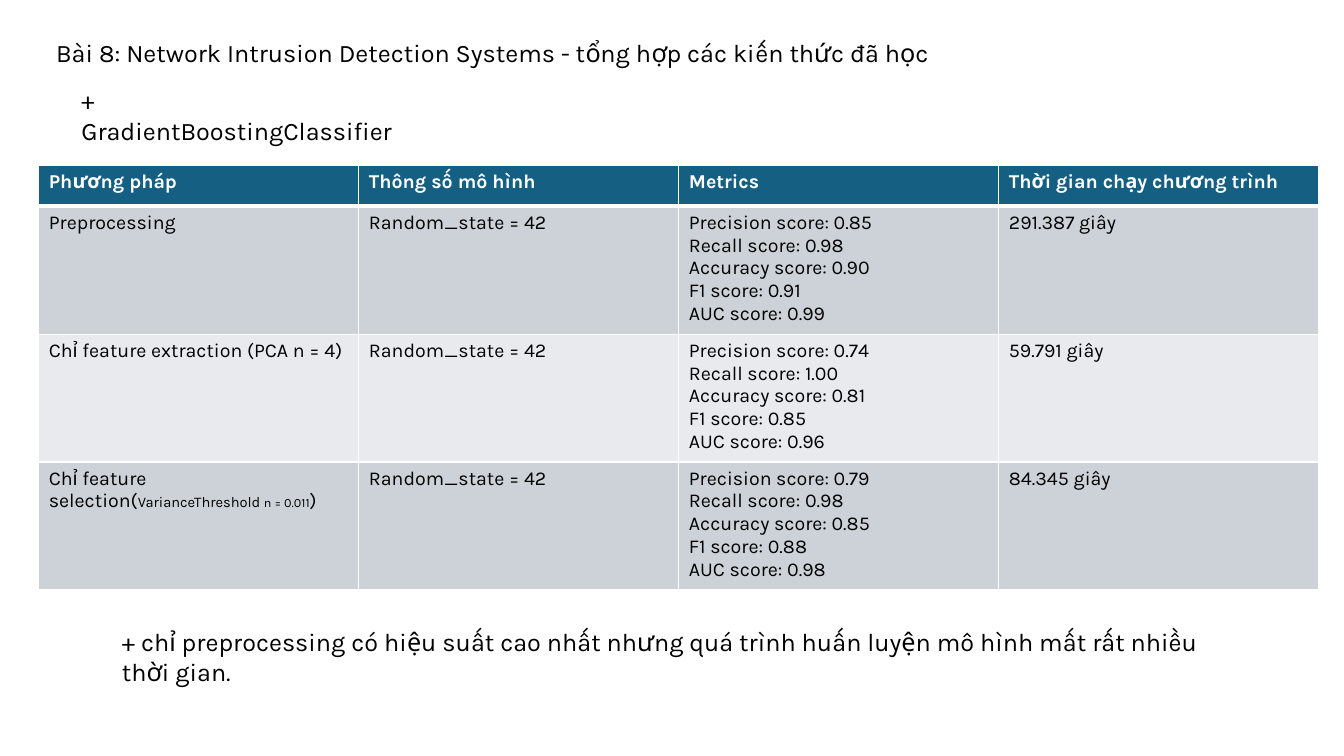
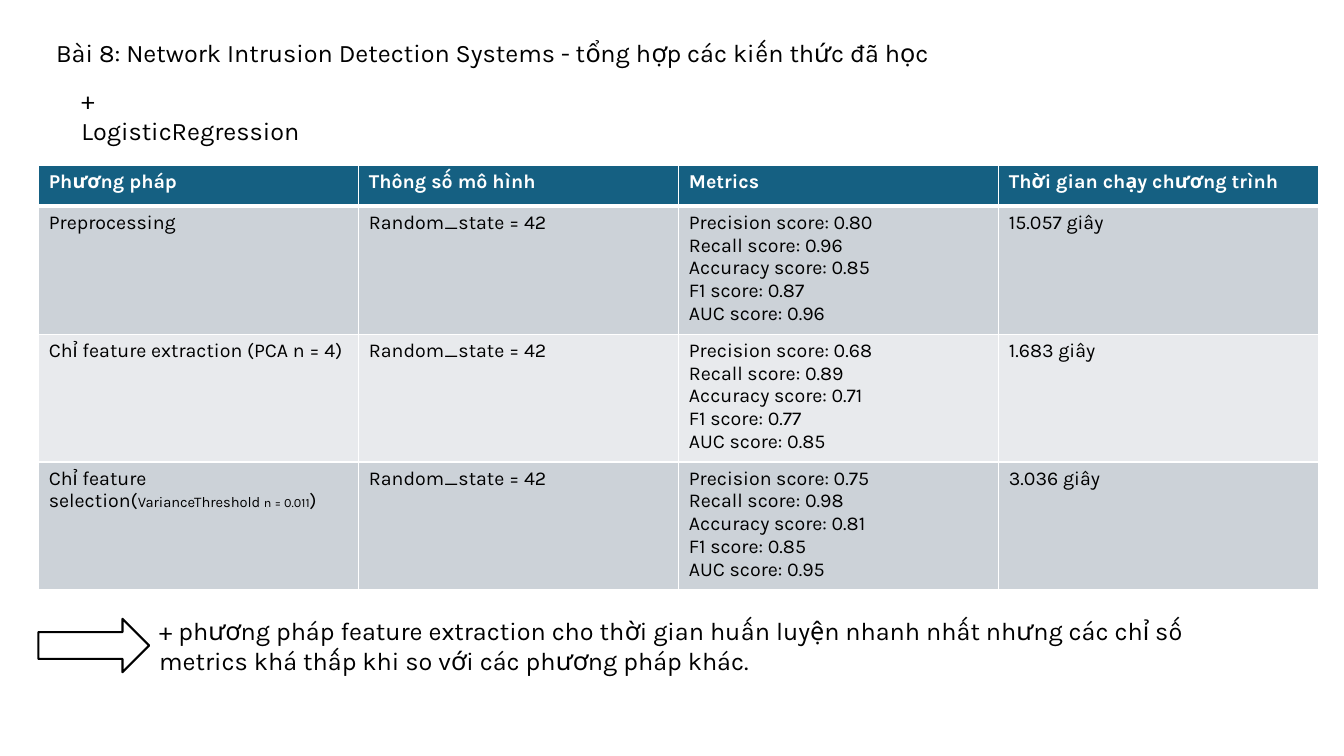
"""Build two slides comparing the results of two classifiers."""
import pptx
import pptx.enum.shapes
import pptx.oxml
import pptx.oxml.ns
import pptx.util

Pt = pptx.util.Pt
RGB = pptx.dml.color.RGBColor.from_string
FONT = "Karla"
COLORS = {"text": "000000", "white": "FFFFFF", "header": "156082",
          "odd": "CCD2D8", "even": "E8EAED"}
TITLE = "Bài 8: Network Intrusion Detection Systems - tổng hợp các kiến thức đã học"
HEADERS = ["Phương pháp", "Thông số mô hình", "Metrics", "Thời gian chạy chương trình"]
METHODS = ["Preprocessing", "Chỉ feature extraction (PCA n = 4)", "Chỉ feature selection("]
THRESHOLD = [("VarianceThreshold ", 10.5), ("n = 0.011", 9), (")", 14)]
METRICS = ["Precision", "Recall", "Accuracy", "F1", "AUC"]
TABLE_LEFT, TABLE_TOP, COL_W, HEADER_H, ROW_H = 27.7, 118, 228.6, 29.3, 91.4

SLIDES = [
    {"model": "+ GradientBoostingClassifier", "model_w": 239,
     "scores": [["0.85", "0.98", "0.90", "0.91", "0.99"],
                ["0.74", "1.00", "0.81", "0.85", "0.96"],
                ["0.79", "0.98", "0.85", "0.88", "0.98"]],
     "times": ["291.387 giây", "59.791 giây", "84.345 giây"],
     "note": "+ chỉ preprocessing có hiệu suất cao nhất nhưng quá trình huấn luyện "
             "mô hình mất rất nhiều thời gian.",
     "note_box": (80, 443.5, 800, 51), "arrow": False},
    {"model": "+ LogisticRegression", "model_w": 176,
     "scores": [["0.80", "0.96", "0.85", "0.87", "0.96"],
                ["0.68", "0.89", "0.71", "0.77", "0.85"],
                ["0.75", "0.98", "0.81", "0.85", "0.95"]],
     "times": ["15.057 giây", "1.683 giây", "3.036 giây"],
     "note": "+ phương pháp feature extraction cho thời gian huấn luyện nhanh nhất "
             "nhưng các chỉ số metrics khá thấp khi so với các phương pháp khác.",
     "note_box": (106.6, 435.6, 768, 51), "arrow": True},
]


def style(r, size, color="text", bold=False):
    r.font.name = FONT
    r.font.size = Pt(size)
    r.font.bold = bold
    r.font.color.rgb = RGB(COLORS[color])


def add_text(s, text, left, top, width, height):
    tf = s.shapes.add_textbox(Pt(left), Pt(top), Pt(width), Pt(height)).text_frame
    tf.word_wrap = True
    tf.text = text
    style(tf.paragraphs[0].runs[0], 18)


prs = pptx.Presentation()
prs.slide_width, prs.slide_height = Pt(960), Pt(540)

for data in SLIDES:
    s = prs.slides.add_slide(prs.slide_layouts[6])
    add_text(s, TITLE, 33, 23, 770, 29)
    add_text(s, data["model"], 51, 57, data["model_w"], 51)

    rows = [HEADERS]
    for method, scores, time in zip(METHODS, data["scores"], data["times"]):
        metrics = "\n".join(f"{name} score: {score}" for name, score in zip(METRICS, scores))
        rows.append([method, "Random_state = 42", metrics, time])

    table = s.shapes.add_table(len(rows), len(HEADERS), Pt(TABLE_LEFT), Pt(TABLE_TOP),
                               Pt(COL_W * len(HEADERS)),
                               Pt(HEADER_H + ROW_H * len(METHODS))).table
    for col in table.columns:
        col.width = Pt(COL_W)
    for i, row in enumerate(rows):
        table.rows[i].height = Pt(ROW_H if i else HEADER_H)
        fill = "header" if i == 0 else "odd" if i % 2 else "even"
        for j, text in enumerate(row):
            cell = table.cell(i, j)
            cell.text_frame.text = text
            for p in cell.text_frame.paragraphs:
                style(p.runs[0], 14, "text" if i else "white", i == 0)
            tc_pr = cell._tc.get_or_add_tcPr()
            for side in "LRTB":
                thick = (i == 0 and side == "B") or (i == 1 and side == "T")
                tc_pr.append(pptx.oxml.parse_xml(
                    f'<a:ln{side} {pptx.oxml.ns.nsdecls("a")} w="{Pt(3 if thick else 1)}">'
                    f'<a:solidFill><a:srgbClr val="{COLORS["white"]}"/></a:solidFill>'
                    f'</a:ln{side}>'))
            cell.fill.solid()
            cell.fill.fore_color.rgb = RGB(COLORS[fill])

    p = table.cell(len(METHODS), 0).text_frame.paragraphs[0]
    for text, size in THRESHOLD:
        r = p.add_run()
        r.text = text
        style(r, size)

    add_text(s, data["note"], *data["note_box"])
    if data["arrow"]:
        arrow = s.shapes.add_shape(pptx.enum.shapes.MSO_SHAPE.RIGHT_ARROW,
                                   Pt(27.4), Pt(442), Pt(79.2), Pt(38.2))
        arrow.shadow.inherit = False
        arrow.fill.solid()
        arrow.fill.fore_color.rgb = RGB(COLORS["white"])
        arrow.line.color.rgb = RGB(COLORS["text"])
        arrow.line.width = Pt(1.5)

prs.save("out.pptx")
